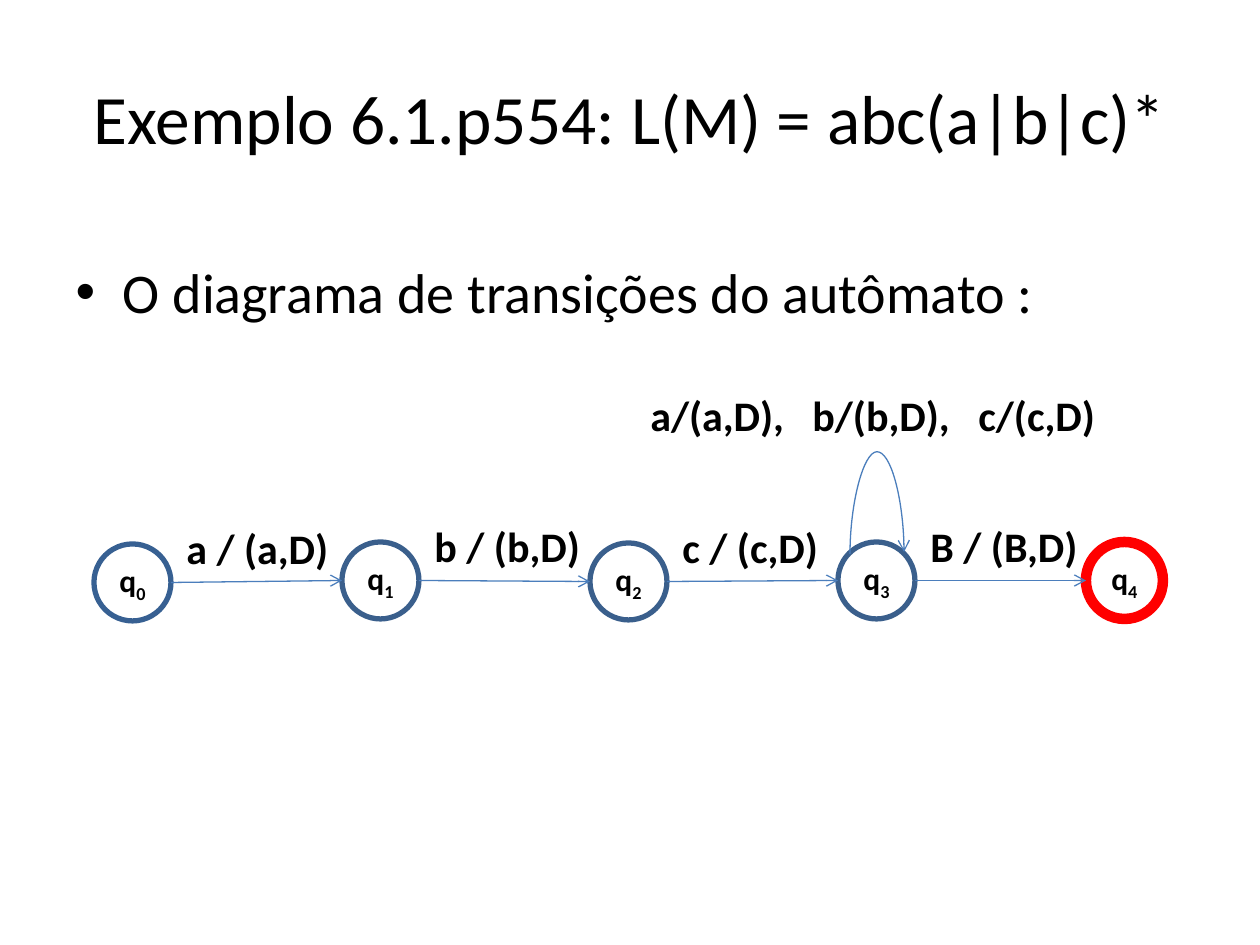
from lxml import etree
from pptx import Presentation, util as u
from pptx.dml.color import RGBColor
from pptx.enum import shapes, text
from pptx.oxml.ns import qn

PX = 914400 / 126
FONT = "Calibri"
BLACK, BLUE, STEEL, NAVY, RED = "000000", "4B7EBC", "3A5F8C", "376092", "FF0000"

# State row: equal steps, each with its own top
LEFT, STEP, SIZE = 94, 248, 77
STATES = [(544, NAVY, 3), (542, STEEL, 3), (543, STEEL, 3),
          (542, STEEL, 3), (542, RED, 6)]
MOVES = ["a / (a,D)", "b / (b,D)", "c / (c,D)", "B / (B,D)"]


def px(*nums):
    return [round(n * PX) for n in nums]


def color(code):
    return RGBColor.from_string(code)


def style(par, size, bold=False):
    font = par.font
    font.name, font.size, font.bold = FONT, u.Pt(size), bold
    font.color.rgb = color(BLACK)


def fill_holder(shape, words, box, size):
    shape.left, shape.top, shape.width, shape.height = px(*box)
    shape.text_frame.text = words
    style(shape.text_frame.paragraphs[0], size)


def add_state(slide, num, left, top, line, width):
    node = slide.shapes.add_shape(shapes.MSO_SHAPE.OVAL, *px(left, top, SIZE, SIZE))
    node.shadow.inherit = False
    node.fill.background()
    node.line.color.rgb = color(line)
    node.line.width = u.Pt(width)
    frame = node.text_frame
    frame.word_wrap = False
    frame.vertical_anchor = text.MSO_ANCHOR.MIDDLE
    par = frame.paragraphs[0]
    par.alignment = text.PP_ALIGN.CENTER
    style(par, 18, True)
    par.add_run().text = "q"
    sub = par.add_run()
    sub.text = str(num)
    sub.font._element.set("baseline", "-25000")


def add_label(slide, words, box, stops=()):
    frame = slide.shapes.add_textbox(*px(*box)).text_frame
    frame.word_wrap = False
    par = frame.paragraphs[0]
    par.text = words
    style(par, 24, True)
    if stops:
        tabs = etree.Element(qn("a:tabLst"))
        for pos in px(*stops):
            etree.SubElement(tabs, qn("a:tab"), pos=str(pos), algn="l")
        par._p.get_or_add_pPr().insert(0, tabs)


def add_arrow(slide, kind, *ends):
    arrow = slide.shapes.add_connector(kind, *px(*ends))
    arrow.line.color.rgb = color(BLUE)
    arrow.line.width = u.Pt(0.75)
    etree.SubElement(arrow.line._get_or_add_ln(), qn("a:tailEnd"), type="arrow")
    etree.SubElement(arrow._element.spPr, qn("a:effectLst"))
    return arrow


def add_loop(slide):
    # A curve turned by 90 degrees, with its bend far above both ends
    loop = add_arrow(slide, shapes.MSO_CONNECTOR.CURVE, 878, 580, 876, 526)
    props = loop._element.spPr
    props.find(qn("a:xfrm")).set("rot", "5400000")
    geom = props.find(qn("a:prstGeom"))
    guides = geom.find(qn("a:avLst"))
    if guides is None:
        guides = etree.SubElement(geom, qn("a:avLst"))
    etree.SubElement(guides, qn("a:gd"), name="adj1", fmla="val 5150000")


def main():
    prs = Presentation()
    prs.slide_width, prs.slide_height = u.Inches(10), u.Inches(7.5)
    slide = prs.slides.add_slide(prs.slide_layouts[1])

    # Title and list
    title, body = slide.placeholders
    fill_holder(title, "Exemplo 6.1.p554: L(M) = abc(a|b|c)*", (63, 38, 1134, 158), 39.6)
    fill_holder(body, "O diagrama de transições do autômato :", (63, 251, 1134, 113), 32)

    # States
    for num, (top, line, width) in enumerate(STATES):
        add_state(slide, num, LEFT + num * STEP, top, line, width)

    # Moves from each state to the next
    for num, move in enumerate(MOVES):
        left, top, after = LEFT + num * STEP, STATES[num][0], STATES[num + 1][0]
        add_arrow(slide, shapes.MSO_CONNECTOR.STRAIGHT, left + SIZE, top + SIZE / 2,
                  left + STEP, after + SIZE / 2)
        add_label(slide, move, (left + 80, top - 28, 172, 64))

    # Loop on the fourth state
    add_loop(slide)
    add_label(slide, "a/(a,D),\tb/(b,D),\tc/(c,D)", (638, 383, 485, 64), (162, 328))

    prs.save("out.pptx")


if __name__ == "__main__":
    main()
